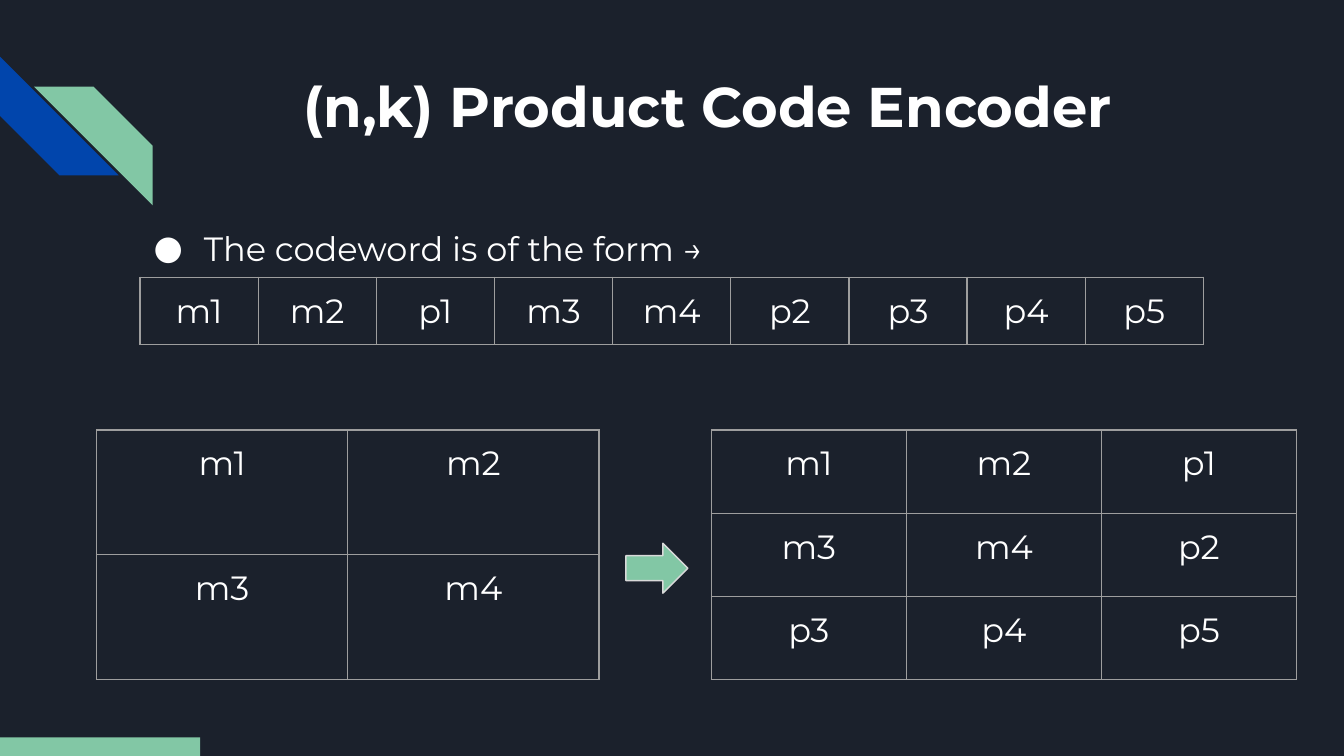
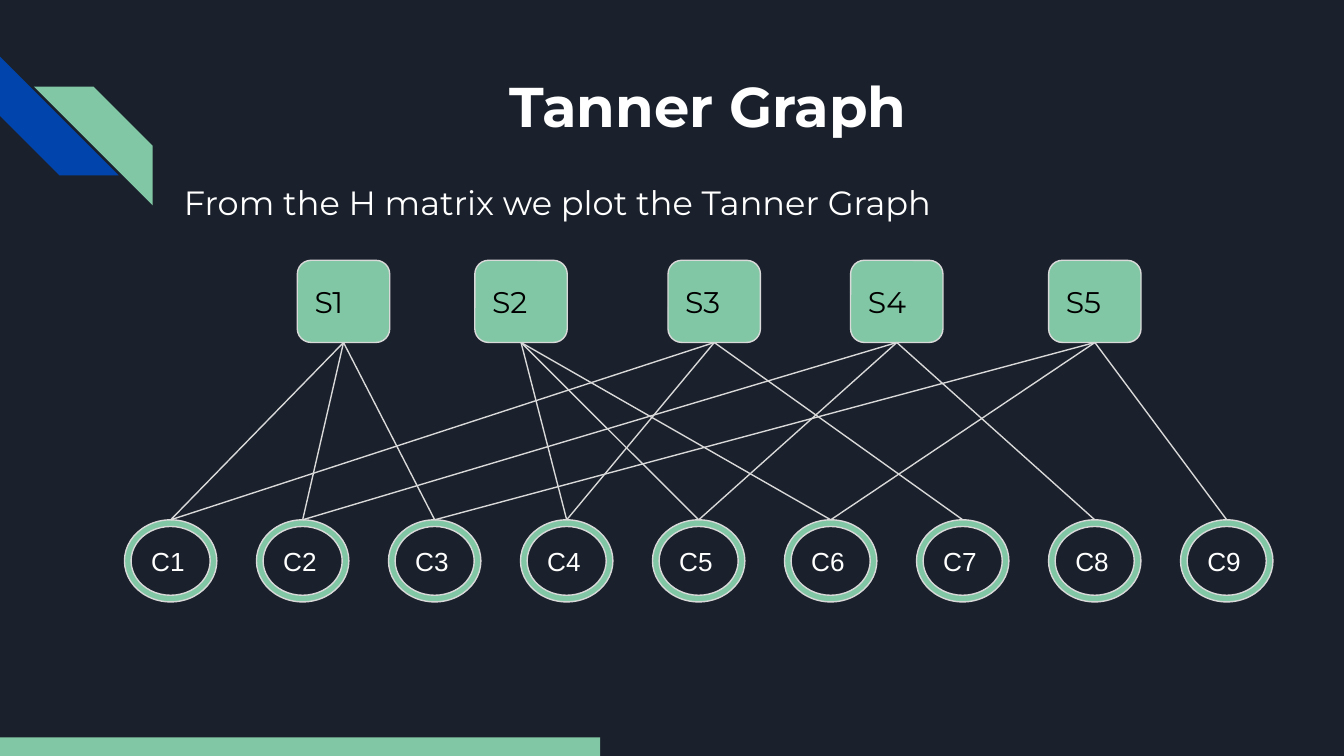
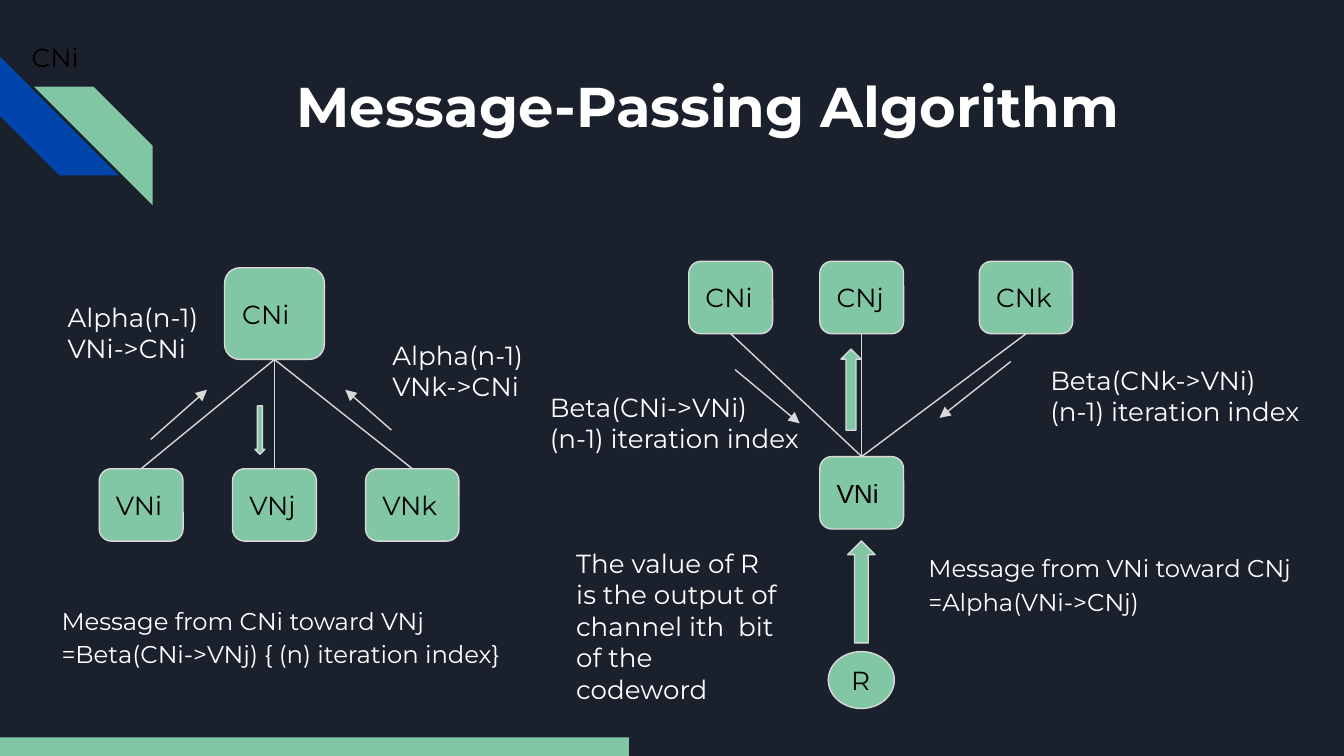
from dataclasses import dataclass

from lxml import etree
from pptx import Presentation
from pptx import util as u
from pptx.dml.color import RGBColor
from pptx.enum import shapes, text
from pptx.oxml.ns import qn

Pt = u.Pt
SHAPE = shapes.MSO_SHAPE


@dataclass(frozen=True)
class Theme:
    background: str = "1B212C"
    blue: str = "0145AC"
    green: str = "82C7A5"
    outline: str = "D9D9D9"
    grid: str = "9E9E9E"
    light: str = "FFFFFF"
    dark: str = "000000"
    font: str = "Montserrat"
    plain_font: str = "Arial"
    title: int = 30
    body: int = 18
    check: int = 16
    label: int = 14
    note: int = 13
    line: float = 0.75
    inset: float = 7.2
    spacing: float = 1.15
    after: int = 16


T = Theme()
TITLE_BOX = (102.1, 31, 554.4, 72)
STRIPES = ((0, 30.3, 270, T.blue), (18.2, 46.4, 90, T.green))
STRIPE_SIZE = 63.6
FOOTER_TOP, FOOTER_HEIGHT = 395.1, 9.9
FRAME_SIDE = 236.2


def rgb(value):
    return RGBColor.from_string(value)


def points(values):
    return [Pt(v) for v in values]


def write(frame, lines, size, color=T.light, font=T.font, bold=False, align=None):
    """Fill a text frame or table cell with one paragraph for each line."""
    frame.margin_left = frame.margin_right = Pt(T.inset)
    frame.margin_top = frame.margin_bottom = Pt(T.inset)
    tf = getattr(frame, "text_frame", frame)
    for i, line in enumerate(lines):
        p = tf.add_paragraph() if i else tf.paragraphs[0]
        p.alignment = align or text.PP_ALIGN.LEFT
        r = p.add_run()
        r.text = line
        r.font.size, r.font.name, r.font.bold = Pt(size), font, bold
        r.font.color.rgb = rgb(color)
    return tf


def add_text(s, box, lines, size=T.label, **style):
    tf = s.shapes.add_textbox(*points(box)).text_frame
    tf.word_wrap = True
    return write(tf, lines, size, **style)


def add_body(s, box, line, size=T.body, after=T.after):
    p = add_text(s, box, [line], size).paragraphs[0]
    p.line_spacing = T.spacing
    p.space_after = Pt(after)
    return p


def add_bullet(p, indent, hang):
    pPr = p._p.get_or_add_pPr()
    pPr.set("marL", str(Pt(indent)))
    pPr.set("indent", str(-Pt(hang)))
    color = etree.SubElement(pPr, qn("a:buClr"))
    etree.SubElement(color, qn("a:srgbClr"), val=T.light)
    etree.SubElement(pPr, qn("a:buFont"), typeface=T.font)
    etree.SubElement(pPr, qn("a:buChar"), char="●")


def add_figure(s, kind, box, fill=T.green, outlined=True):
    sp = s.shapes.add_shape(kind, *points(box))
    sp.shadow.inherit = False
    sp.fill.solid()
    sp.fill.fore_color.rgb = rgb(fill)
    if outlined:
        sp.line.color.rgb = rgb(T.outline)
        sp.line.width = Pt(T.line)
    else:
        sp.line.fill.background()
    return sp


def add_node(s, kind, box, name, size=T.label, color=T.dark, font=T.font):
    sp = add_figure(s, kind, box)
    sp.text_frame.vertical_anchor = text.MSO_ANCHOR.MIDDLE
    write(sp.text_frame, [name], size, color, font)
    return sp


def add_line(s, start=(0, 0), end=(0, 0), arrow=False):
    cn = s.shapes.add_connector(shapes.MSO_CONNECTOR.STRAIGHT, *points((*start, *end)))
    cn.line.color.rgb = rgb(T.outline)
    cn.line.width = Pt(T.line)
    spPr = cn._element.spPr
    if arrow:
        etree.SubElement(spPr.find(qn("a:ln")), qn("a:tailEnd"), type="triangle")
    etree.SubElement(spPr, qn("a:effectLst"))
    return cn


def join(s, upper, lower):
    """Link the bottom of the upper node to the top of the lower one."""
    cn = add_line(s)
    cn.begin_connect(upper, 2)
    cn.end_connect(lower, 0)


def add_borders(cell):
    tcPr = cell._tc.get_or_add_tcPr()
    for i, side in enumerate(("a:lnL", "a:lnR", "a:lnT", "a:lnB")):
        ln = etree.Element(qn(side), w=str(Pt(T.line)))
        fill = etree.SubElement(ln, qn("a:solidFill"))
        etree.SubElement(fill, qn("a:srgbClr"), val=T.grid)
        tcPr.insert(i, ln)


def add_grid(s, left, top, col_width, row_height, rows):
    """Add a bordered table of equal cells; rows holds space-separated names."""
    rows = [row.split() for row in rows]
    box = points((left, top, FRAME_SIDE, FRAME_SIDE))
    frame = s.shapes.add_table(len(rows), len(rows[0]), *box)
    table = frame.table
    table.first_row = table.horz_banding = False
    for col in table.columns:
        col.width = Pt(col_width)
    for row, names in zip(table.rows, rows):
        row.height = Pt(row_height)
        for cell, name in zip(row.cells, names):
            cell.fill.background()
            add_borders(cell)
            write(cell, [name], T.body, align=text.PP_ALIGN.CENTER)
    frame.width = frame.height = Pt(FRAME_SIDE)


def start_slide(prs, title, progress):
    """Add a slide with corner stripes, title and a progress bar of given width."""
    s = prs.slides.add_slide(prs.slide_layouts[6])
    for left, top, angle, color in STRIPES:
        box = (left, top, STRIPE_SIZE, STRIPE_SIZE)
        add_figure(s, SHAPE.DIAGONAL_STRIPE, box, color, outlined=False).rotation = angle
    add_text(s, TITLE_BOX, [title], T.title, bold=True, align=text.PP_ALIGN.CENTER)
    bar = (0, FOOTER_TOP, progress, FOOTER_HEIGHT)
    add_figure(s, SHAPE.RECTANGLE, bar, outlined=False)
    return s


def encoder_slide(prs):
    s = start_slide(prs, "(n,k) Product Code Encoder", 107.2)
    p = add_body(s, (66.2, 111.6, 616.3, 275.8), "The codeword is of the form →", after=0)
    add_bullet(p, 36, 27)
    add_grid(s, 75, 148.5, 63.3, 30.4, ["m1 m2 p1 m3 m4 p2 p3 p4 p5"])
    add_grid(s, 51.7, 230.4, 134.6, 66.8, ["m1 m2", "m3 m4"])
    add_grid(s, 381.1, 230.4, 104.5, 44.6, ["m1 m2 p1", "m3 m4 p2", "p3 p4 p5"])
    add_figure(s, SHAPE.RIGHT_ARROW, (335.3, 291, 33.2, 26.8))


def tanner_graph(s, left, top):
    width, height, pitch, drop = 49.5, 44, 70.72, 139
    bits = [
        add_node(s, SHAPE.DONUT, (left + i * pitch, top + drop, width, height),
                 f"C{i + 1}", T.label, T.light, T.plain_font)
        for i in range(9)
    ]
    for bit in bits:
        bit.adjustments[0] = 0.081
    checked = [bits[0:3], bits[3:6]] + [bits[i::3] for i in range(3)]
    offsets = (92.6, 187.7, 291.2, 389, 495.1)
    for i, (dx, members) in enumerate(zip(offsets, checked), 1):
        box = (left + dx, top, width, height)
        check = add_node(s, SHAPE.ROUNDED_RECTANGLE, box, f"S{i}", T.check)
        for bit in members:
            join(s, check, bit)


def tanner_slide(prs):
    s = start_slide(prs, "Tanner Graph", 321.6)
    add_body(s, (91.4, 87.1, 452.9, 37.4), "From the H matrix we plot the Tanner Graph")
    tanner_graph(s, 66.7, 139.5)


def message_tree(s, origin, hub, leaves, leaf_top, messages, block):
    """Draw a hub joined to its leaves, with message arrows; all relative to origin.

    hub is (name, font, box), leaves are (name, left, width),
    messages are (start, end) and block is (kind, box).
    """
    x, y = origin

    def at(left, top, *size):
        return (x + left, y + top, *size)

    name, font, hub_box = hub
    center = add_node(s, SHAPE.ROUNDED_RECTANGLE, at(*hub_box), name, font=font)
    for name, left, width in leaves:
        leaf = add_node(s, SHAPE.ROUNDED_RECTANGLE, at(left, leaf_top, width, 38.8), name)
        upper, lower = (center, leaf) if leaf_top > hub_box[1] else (leaf, center)
        join(s, upper, lower)
    for start, end in messages:
        add_line(s, at(*start), at(*end), arrow=True)
    kind, block_box = block
    add_figure(s, kind, at(*block_box))


def check_node_side(s):
    message_tree(
        s, (53.2, 143.5),
        hub=("CNi", T.font, (67.1, 0, 53.5, 49.1)),
        leaves=[("VNi", 0, 44.9), ("VNj", 71.4, 44.9), ("VNk", 142.7, 50)],
        leaf_top=107.6,
        messages=[((27.6, 91.9), (57.7, 65.3)), ((156.5, 86.9), (131.8, 65.3))],
        block=(SHAPE.DOWN_ARROW, (83.4, 73.9, 5.3, 26)),
    )
    add_text(s, (29.1, 154.1, 92.9, 81.4), ["Alpha(n-1)", "VNi->CNi"])
    add_text(s, (203.1, 174.4, 236.2, 236.2), ["Alpha(n-1)", "VNk->CNi"])
    add_body(s, (25.9, 315.2, 261.4, 54.7),
             "Message from CNi toward VNj =Beta(CNi->VNj) { (n) iteration index}", T.note)


def variable_node_side(s):
    message_tree(
        s, (369, 140),
        hub=("VNi", T.plain_font, (70.2, 104.6, 44.9, 38.8)),
        leaves=[("CNi", 0, 44.9), ("CNj", 70.2, 44.9), ("CNk", 155.7, 50)],
        leaf_top=0,
        messages=[((24.8, 58), (59.4, 86.8)), ((172.5, 53.7), (134.3, 83.9))],
        block=(SHAPE.UP_ARROW, (81.5, 47, 10.8, 43.5)),
    )
    add_figure(s, SHAPE.UP_ARROW, (454.1, 289.8, 14.7, 54.6))
    add_node(s, SHAPE.FLOWCHART_CONNECTOR, (443.7, 349.1, 35.4, 30.5), "R")
    add_text(s, (555.6, 187.9, 153.4, 49), ["Beta(CNk->VNi)", "(n-1) iteration index"])
    add_text(s, (287.5, 202.3, 149.2, 38.9), ["Beta(CNi->VNi)", "(n-1) iteration index"])
    add_text(s, (301.6, 286.1, 125.5, 54.7),
             ["The value of R is the output of channel ith  bit of the codeword"])
    add_body(s, (490.3, 287, 218.9, 57.6),
             "Message from VNi toward CNj =Alpha(VNi->CNj)", T.note)


def message_slide(prs):
    s = start_slide(prs, "Message-Passing Algorithm", 336.9)
    add_text(s, (9.8, 15, 60, 32), ["CNi"], color=T.dark)
    check_node_side(s)
    variable_node_side(s)


def main():
    prs = Presentation()
    prs.slide_width, prs.slide_height = Pt(720), Pt(405)
    fill = prs.slide_master.background.fill
    fill.solid()
    fill.fore_color.rgb = rgb(T.background)
    encoder_slide(prs)
    tanner_slide(prs)
    message_slide(prs)
    prs.save("out.pptx")


if __name__ == "__main__":
    main()
